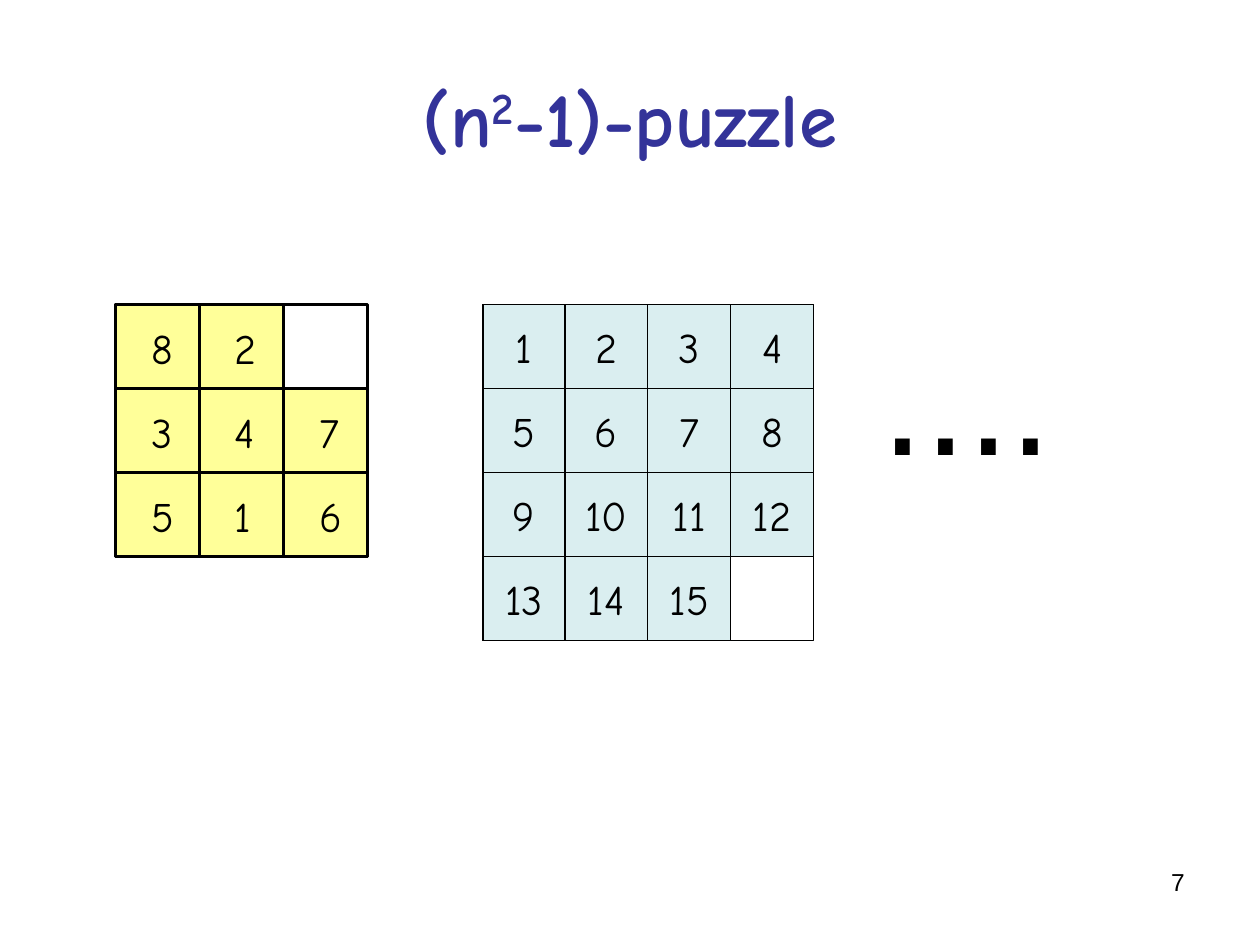
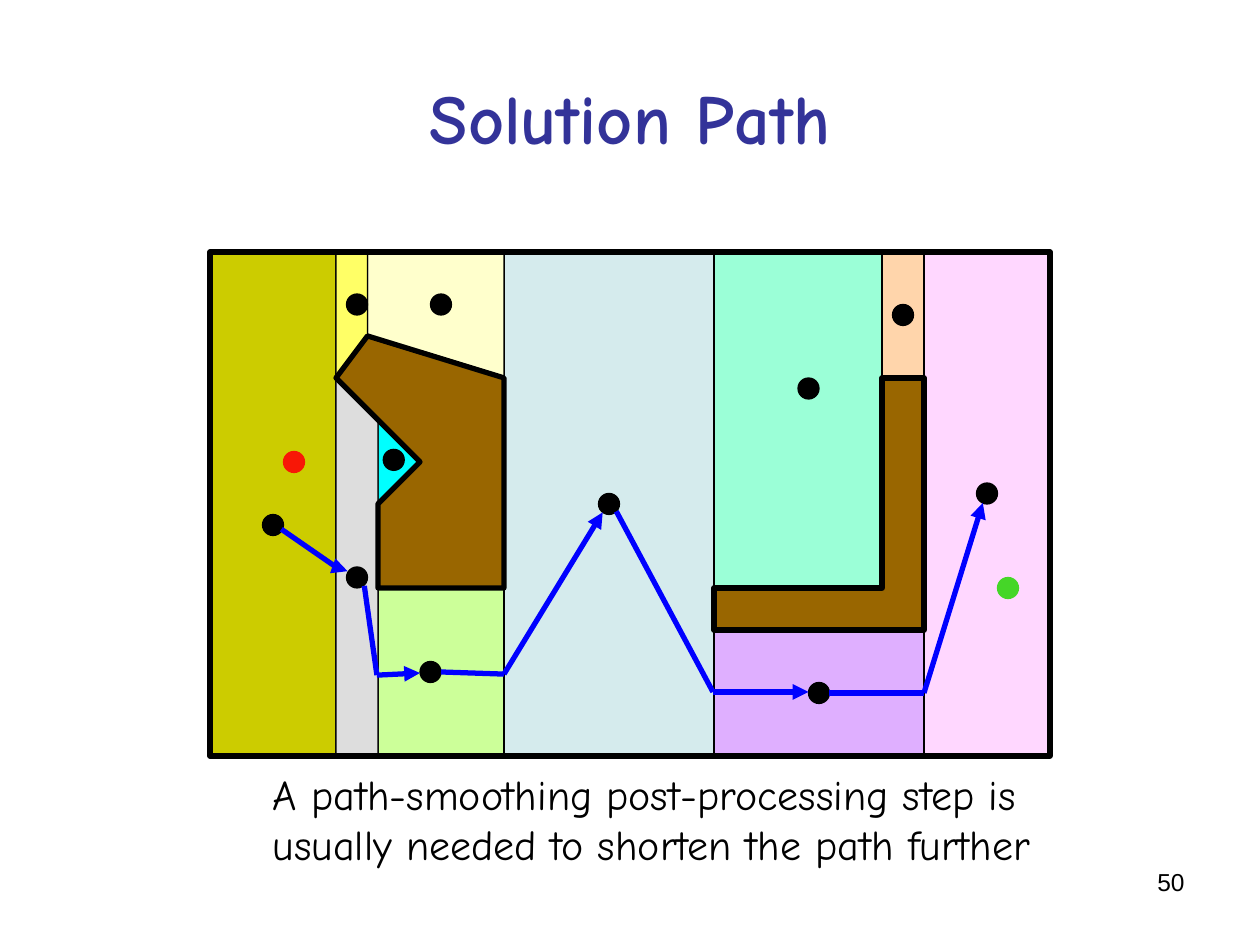
import pptx
import pptx.util
import pptx.dml.color
import pptx.enum.shapes
import pptx.enum.text
import pptx.oxml
import pptx.oxml.ns

PX = 7620  # EMU in one px, 120 px to the inch
WIDE, HIGH = 1200, 900

HAND, SANS = "Comic Neue", "Arial"
BLACK, NAVY, BLUE = "000000", "333399", "0000FF"
YELLOW, AQUA, BROWN = "FFFF99", "DAEEF0", "996600"
RED, GREEN = "F81706", "45D628"

KIND = pptx.enum.shapes.MSO_SHAPE
ALIGN = pptx.enum.text.PP_ALIGN
MIDDLE = pptx.enum.text.MSO_ANCHOR.MIDDLE

TITLE_BOX = (60, 36, 1080, 150)
FOOT_BOX = (860, 820, 280, 62)


# Shared helpers

def px(*sizes):
    return [size * PX for size in sizes]


def tint(text):
    return pptx.dml.color.RGBColor.from_string(text)


def paint(shape, fill, line, width):
    shape.shadow.inherit = False
    if fill:
        shape.fill.solid()
        shape.fill.fore_color.rgb = tint(fill)
    else:
        shape.fill.background()
    shape.line.color.rgb = tint(line)
    shape.line.width = pptx.util.Pt(width)
    return shape


def draw(slide, kind, box, fill=None, line=BLACK, width=0.75):
    return paint(slide.shapes.add_shape(kind, *px(*box)), fill, line, width)


def trace(slide, points, fill, width=0.75):
    pen = slide.shapes.build_freeform(*points[0], scale=PX)
    pen.add_line_segments(points[1:], close=True)
    return paint(pen.convert_to_shape(), fill, BLACK, width)


def add_run(par, text, size, font=HAND, color=BLACK, bold=False, raised=False):
    run = par.add_run()
    run.text = text
    run.font.size = pptx.util.Pt(size)
    run.font.name = font
    run.font.color.rgb = tint(color)
    run.font.bold = bold
    if raised:
        run._r.get_or_add_rPr().set("baseline", "30000")


def add_text(slide, box, lines, size, font=HAND, align=ALIGN.LEFT, wrap=True):
    frame = slide.shapes.add_textbox(*px(*box)).text_frame
    frame.word_wrap = wrap
    for i, line in enumerate(lines):
        par = frame.add_paragraph() if i else frame.paragraphs[0]
        par.alignment = align
        add_run(par, line, size, font)


def add_line(slide, start, end, tip):
    line = slide.shapes.add_connector(
        pptx.enum.shapes.MSO_CONNECTOR.STRAIGHT, *px(*start, *end))
    line.line.color.rgb = tint(BLUE)
    line.line.width = pptx.util.Pt(3)
    props = line._element.spPr
    if tip:
        tail = pptx.oxml.parse_xml(
            f'<a:tailEnd {pptx.oxml.ns.nsdecls("a")} type="triangle"/>')
        line.line._get_or_add_ln().append(tail)
    props.append(pptx.oxml.parse_xml(
        f'<a:effectLst {pptx.oxml.ns.nsdecls("a")}/>'))


def add_page(deck, title, size, number):
    """Add a slide with its title runs and page number."""
    slide = deck.slides.add_slide(deck.slide_layouts[6])
    frame = slide.shapes.add_textbox(*px(*TITLE_BOX)).text_frame
    frame.word_wrap = True
    frame.vertical_anchor = MIDDLE
    par = frame.paragraphs[0]
    par.alignment = ALIGN.CENTER
    for text, raised in title:
        add_run(par, text, size, HAND, NAVY, True, raised)
    add_text(slide, FOOT_BOX, [str(number)], 14, SANS, ALIGN.RIGHT)
    return slide


# Puzzle boards

def grid(box, rows):
    """Yield the label and box of each filled tile."""
    left, top, wide, high = box
    count = len(rows)
    for r, row in enumerate(rows):
        for c, label in enumerate(row):
            if label:
                x, y = wide * c // count, high * r // count
                yield label, (left + x, top + y,
                              wide * (c + 1) // count - x, high // count)


def small_board(slide, box, rows):
    draw(slide, KIND.RECTANGLE, box, width=1.5)
    for label, tile in grid(box, rows):
        draw(slide, KIND.RECTANGLE, tile, YELLOW, width=1.5)
        x, y = tile[:2]
        add_text(slide, (x + 22, y + 11, 56, 60), [str(label)], 24)


def large_board(slide, box, rows):
    draw(slide, KIND.RECTANGLE, box)
    for label, tile in grid(box, rows):
        frame = draw(slide, KIND.RECTANGLE, tile, AQUA).text_frame
        frame.word_wrap = False
        frame.vertical_anchor = MIDDLE
        par = frame.paragraphs[0]
        par.alignment = ALIGN.CENTER
        add_run(par, str(label), 24)


def puzzle_page(deck):
    title = [("(n", False), ("2", True), ("-1)-puzzle", False)]
    slide = add_page(deck, title, 44, 7)
    small_board(slide, (110, 290, 240, 240),
                [(8, 2, None), (3, 4, 7), (5, 1, 6)])
    rows = [[n if n < 16 else None for n in range(first, first + 4)]
            for first in range(1, 17, 4)]
    large_board(slide, (460, 290, 315, 320), rows)
    add_text(slide, (828, 281, 187, 188), ["...."], 88, SANS, wrap=False)


# Map of cells, walls and route; all points are relative to the map

BLOCKS = [
    ((480, 0, 160, 320), "9BFFD7"),
    ((640, 0, 40, 120), "FFD5AB"),
    ((480, 360, 200, 120), "DFAFFF"),
    ((680, 0, 120, 480), "FFD7FF"),
    ((280, 0, 200, 480), "D5EBED"),
    ((160, 320, 120, 160), "CCFF99"),
    ((0, 0, 120, 480), "CCCC00"),
]
WEDGES = [
    ([(150, 0), (150, 80), (280, 120), (280, 0)], "FFFFCC"),
    ([(160, 160), (200, 200), (160, 240)], "00FFFF"),
    ([(120, 120), (160, 160), (160, 480), (120, 480)], "DDDDDD"),
    ([(150, 80), (120, 120), (120, 0), (150, 0)], "FFFF66"),
]
WALLS = [
    [(120, 120), (200, 200), (160, 240), (160, 320),
     (280, 320), (280, 120), (150, 80)],
    [(480, 320), (480, 360), (680, 360), (680, 120), (640, 120), (640, 320)],
]
NODES = [
    (370, 230), (560, 120), (650, 50), (200, 390), (570, 410), (130, 300),
    (130, 40), (210, 40), (165, 188), (50, 250), (730, 220),
]
DOTS = [(70, 190, RED), (750, 310, GREEN)] + [(*spot, BLACK) for spot in NODES]
# Each leg ends in an arrow
LEGS = [
    [(68, 264), (120, 300), (131, 304)],
    [(147, 318), (159, 403), (200, 401)],
    [(220, 400), (280, 402), (374, 248)],
    [(387, 247), (479, 419), (570, 419)],
    [(590, 420), (680, 420), (736, 239)],
]


def draw_map(slide, box):
    left, top = box[:2]

    def move(points):
        return [(left + x, top + y) for x, y in points]

    # Free cells
    for (x, y, wide, high), fill in BLOCKS:
        draw(slide, KIND.RECTANGLE, (left + x, top + y, wide, high), fill)
    for points, fill in WEDGES:
        trace(slide, move(points), fill)

    # Frame and walls
    draw(slide, KIND.RECTANGLE, box, width=3)
    for points in WALLS:
        trace(slide, move(points), BROWN, 3)

    # Start, goal and cell centres
    for x, y, fill in DOTS:
        draw(slide, KIND.OVAL, (left + x, top + y, 20, 20), fill, fill)

    # Route
    for leg in LEGS:
        start, bend, end = move(leg)
        add_line(slide, start, bend, False)
        add_line(slide, bend, end, True)


def route_page(deck):
    slide = add_page(deck, [("Solution Path", False)], 40, 50)
    draw_map(slide, (200, 240, 800, 480))
    add_text(slide, (248, 726, 748, 108),
             ["A path-smoothing post-processing step is",
              "usually needed to shorten the path further"], 24, wrap=False)


def main():
    deck = pptx.Presentation()
    deck.slide_width, deck.slide_height = px(WIDE, HIGH)
    puzzle_page(deck)
    route_page(deck)
    deck.save("out.pptx")


if __name__ == "__main__":
    main()
